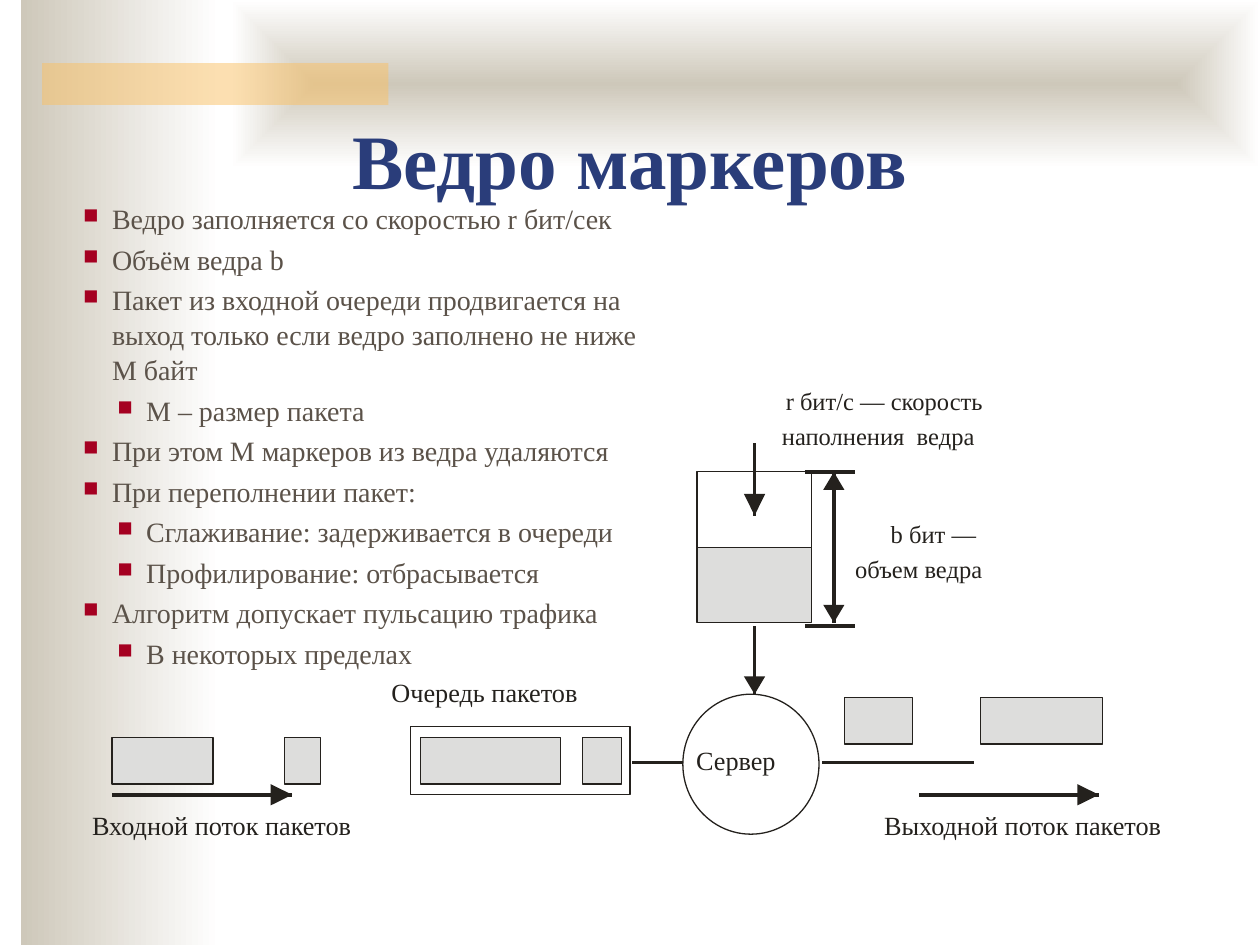
from lxml.etree import SubElement
from pptx import Presentation
from pptx.dml.color import RGBColor
from pptx.enum.shapes import MSO_CONNECTOR as Connector, MSO_SHAPE as Shape
from pptx.enum.text import MSO_ANCHOR as Anchor, PP_ALIGN as Align
from pptx.oxml.ns import qn
from pptx.util import Pt

WHITE = RGBColor(0xFF, 0xFF, 0xFF)
SAND = RGBColor(0xCE, 0xC8, 0xBA)
AMBER = RGBColor(0xFA, 0xC1, 0x64)
NAVY = RGBColor(0x2A, 0x3D, 0x7A)
INK = RGBColor(0x24, 0x21, 0x1D)
GREY = RGBColor(0xDD, 0xDD, 0xDC)
BROWN = RGBColor(0x5B, 0x52, 0x49)
CRIMSON = RGBColor(0xA5, 0x00, 0x21)

FONT = "Times New Roman"
HEAD_HALF = 6.1  # half the width of an arrowhead


def set_values(target, values):
    for name, value in values.items():
        setattr(target, name, value)


class SlideBuilder:
    """Holds the style and the current slide."""

    margins = ("margin_left", "margin_top", "margin_right", "margin_bottom")

    def __init__(self, page):
        self.page = page

    def shape(self, kind, left, top, width, height, fill=None, line=None):
        box = self.page.shapes.add_shape(kind, Pt(left), Pt(top), Pt(width), Pt(height))
        self.paint(box, fill, line)
        return box

    def paint(self, box, fill, line):
        box.shadow.inherit = False
        if fill is None:
            box.fill.background()
        else:
            box.fill.solid()
            box.fill.fore_color.rgb = fill
        if line is None:
            box.line.fill.background()
        else:
            box.line.color.rgb = line
            box.line.width = Pt(0)

    def gradient(self, left, top, width, height, from_center=False):
        box = self.shape(Shape.RECTANGLE, left, top, width, height)
        box.fill.gradient()
        box.fill.gradient_angle = 0
        for stop, color in zip(box.fill.gradient_stops, (SAND, WHITE)):
            stop.color.rgb = color
        if from_center:
            linear = box._element.spPr.find(".//" + qn("a:lin"))
            center = SubElement(linear.getparent(), qn("a:path"), {"path": "shape"})
            SubElement(center, qn("a:fillToRect"), dict.fromkeys("ltrb", "50000"))
            linear.getparent().remove(linear)

    def translucent(self, left, top, width, height, fill, percent):
        box = self.shape(Shape.RECTANGLE, left, top, width, height, fill)
        color = box._element.spPr.find(".//" + qn("a:srgbClr"))
        SubElement(color, qn("a:alpha"), val=str(percent * 1000))

    def line(self, x1, y1, x2, y2):
        link = self.page.shapes.add_connector(
            Connector.STRAIGHT, Pt(x1), Pt(y1), Pt(x2), Pt(y2))
        set_values(link.line, {"width": Pt(0)})
        link.line.color.rgb = INK
        SubElement(link._element.spPr, qn("a:effectLst"))

    def arrowhead(self, x, y, dx, dy):
        """Triangle with its tip at (x, y); (dx, dy) leads back to its base."""
        side_x, side_y = (HEAD_HALF, 0) if dx == 0 else (0, HEAD_HALF)
        outline = self.page.shapes.build_freeform(Pt(x), Pt(y))
        outline.add_line_segments([
            (Pt(x + dx + side_x), Pt(y + dy + side_y)),
            (Pt(x + dx - side_x), Pt(y + dy - side_y))], close=True)
        self.paint(outline.convert_to_shape(), INK, None)

    def text(self, left, top, width, height, lines, size, color,
             insets=(0, 0, 0, 0), bold=False, **para_format):
        box = self.page.shapes.add_textbox(Pt(left), Pt(top), Pt(width), Pt(height))
        frame = box.text_frame
        set_values(frame, {"word_wrap": True, "vertical_anchor": Anchor.TOP})
        set_values(frame, dict(zip(self.margins, map(Pt, insets))))
        for index, line in enumerate(lines):
            para = frame.paragraphs[0] if index == 0 else frame.add_paragraph()
            set_values(para, para_format)
            span = para.add_run()
            span.text = line
            set_values(span.font, {"name": FONT, "size": Pt(size), "bold": bold})
            span.font.color.rgb = color
        return frame

    def bullets(self, left, top, width, height, items):
        frame = self.text(left, top, width, height, [line for _, line in items], 16,
                          BROWN, (7.2, 3.6, 7.2, 3.6), space_before=Pt(3.2),
                          line_spacing=1.04)
        for para, (level, _) in zip(frame.paragraphs, items):
            para.level = level
            props = para._p.get_or_add_pPr()
            props.set("marL", str(Pt(36 if level else 16.5)))
            props.set("indent", str(-Pt(16.5)))
            color = SubElement(props, qn("a:buClr"))
            SubElement(color, qn("a:srgbClr"), val=str(CRIMSON))
            SubElement(props, qn("a:buSzPct"), val="75000")
            SubElement(props, qn("a:buChar"), char="■")


def main():
    deck = Presentation()
    set_values(deck, {"slide_width": Pt(720), "slide_height": Pt(540)})
    slide = SlideBuilder(deck.slides.add_slide(deck.slide_layouts[6]))

    # Background
    slide.gradient(12, 0, 114, 540)
    slide.gradient(132, 0, 588, 96, from_center=True)
    slide.translucent(24, 36, 198, 24, AMBER, 50)

    # Title
    slide.text(54, 55.5, 612, 79, ["Ведро маркеров"], 44, NAVY,
               (7.2, 8.5, 7.2, 3.6), bold=True, alignment=Align.CENTER)

    # Queue, bucket and server
    slide.shape(Shape.RECTANGLE, 234.7, 415.2, 125.3, 39, line=INK)
    slide.shape(Shape.OVAL, 390.2, 396.7, 77.8, 80, line=INK)
    slide.shape(Shape.RECTANGLE, 398.2, 269.6, 65.5, 43.2, line=INK)
    slide.shape(Shape.RECTANGLE, 398.2, 312.8, 65.5, 43, GREY, INK)

    # Packets: left, top, width
    for left, top, width in ((64, 421.4, 57.8), (162.5, 421.4, 20.7),
                             (240.3, 421.4, 80), (332.8, 421.4, 22.4),
                             (482.5, 398.7, 39), (560.2, 398.7, 69.8)):
        slide.shape(Shape.RECTANGLE, left, top, width, 26.6, GREY, INK)

    # Links and dimension lines
    for ends in ((64, 454.2, 167, 454.2), (525.4, 454.2, 628, 454.2),
                 (361.3, 435.6, 390.2, 435.6), (470, 435.6, 556.6, 435.6),
                 (431.2, 357.8, 431.2, 396.7), (431.2, 253.4, 431.2, 294.6),
                 (460, 269.8, 488.7, 269.8), (460, 357.8, 488.7, 357.8),
                 (476.5, 269.8, 476.5, 355.8)):
        slide.line(*ends)

    # Arrowheads: tip, then the way back to the base
    for tip in ((167, 454.2, -12.4, 0), (628, 454.2, -12.4, 0),
                (431.2, 396.7, 0, -10.2), (431.2, 294.6, 0, -12.4),
                (476.5, 269.8, 0, 10.2), (476.5, 355.8, 0, -10.2)):
        slide.arrowhead(*tip)

    # Labels: left, top, width, size, wording
    for left, top, width, size, label in (
            (52.6, 462.2, 190, 15, "Входной поток пакетов"),
            (505.2, 462.2, 203, 15, "Выходной поток пакетов"),
            (223.7, 386.6, 137, 15, "Очередь пакетов"),
            (397.8, 425.5, 58, 15, "Сервер"),
            (509, 296.6, 63, 14, "b бит —"),
            (488.7, 316.8, 94, 14, "объем ведра"),
            (449, 220.3, 145, 14, "r бит/c — cкорость"),
            (446.8, 240.5, 142, 14, "наполнения  ведра")):
        slide.text(left, top, width, size * 1.5, [label], size, INK)

    # Bullet list: level, wording
    slide.bullets(40.5, 111, 335.5, 275, (
        (0, "Ведро заполняется со скоростью r бит/сек"),
        (0, "Объём ведра b"),
        (0, "Пакет из входной очереди продвигается на выход только если "
            "ведро заполнено не ниже M байт"),
        (1, "M – размер пакета"),
        (0, "При этом M маркеров из ведра удаляются"),
        (0, "При переполнении пакет:"),
        (1, "Сглаживание: задерживается в очереди"),
        (1, "Профилирование: отбрасывается"),
        (0, "Алгоритм допускает пульсацию трафика"),
        (1, "В некоторых пределах")))

    deck.save("out.pptx")


if __name__ == "__main__":
    main()
